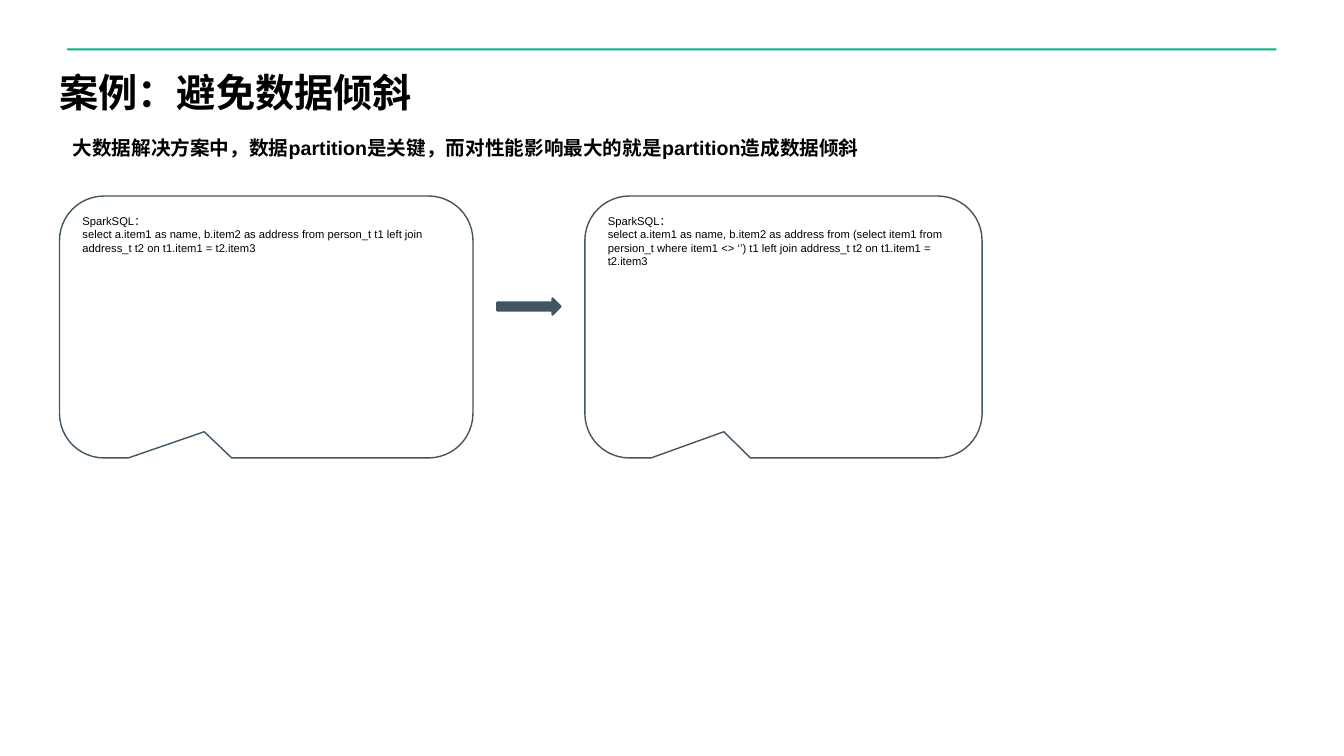
from pptx import Presentation
from pptx.dml.color import RGBColor
from pptx.enum.lang import MSO_LANGUAGE_ID as LANG
from pptx.enum.shapes import MSO_SHAPE as SHAPE
from pptx.enum.text import MSO_ANCHOR as ANCHOR, MSO_AUTO_SIZE as FIT, PP_ALIGN as ALIGN
from pptx.util import Cm, Pt

GREEN, SLATE, WHITE, BLACK = "00B388", "425563", "FFFFFF", "000000"


def rgb(value):
    return RGBColor.from_string(value)


class Deck:
    font = "Arial"

    def __init__(self, prs):
        self.slide = prs.slides.add_slide(prs.slide_layouts[5])

    def add_text(self, tf, lines, size, bold, anchor):
        tf.word_wrap = True
        tf.auto_size = FIT.NONE
        tf.vertical_anchor = anchor
        for i, line in enumerate(lines):
            p = tf.add_paragraph() if i else tf.paragraphs[0]
            p.alignment = ALIGN.LEFT
            r = p.add_run()
            r.text = line
            r.font.name = self.font
            r.font.size = Pt(size)
            r.font.bold = bold
            r.font.color.rgb = rgb(BLACK)
            r.font.language_id = LANG.SIMPLIFIED_CHINESE

    def title(self, text, left, top, width, height):
        sp = self.slide.shapes.title
        sp.left, sp.top, sp.width, sp.height = map(Cm, (left, top, width, height))
        tf = sp.text_frame
        tf.margin_left = tf.margin_top = tf.margin_right = tf.margin_bottom = 0
        self.add_text(tf, [text], 28, True, ANCHOR.BOTTOM)
        tf.paragraphs[0].line_spacing = 0.9

    def shape(self, kind, left, top, width, height, fill, line=None, weight=1):
        sp = self.slide.shapes.add_shape(kind, *map(Cm, (left, top, width, height)))
        sp.shadow.inherit = False
        sp.fill.solid()
        sp.fill.fore_color.rgb = rgb(fill)
        if line:
            sp.line.color.rgb = rgb(line)
            sp.line.width = Pt(weight)
        else:
            sp.line.fill.background()
        return sp

    def callout(self, lines, left, top, width, height, size,
                line=None, bold=False, anchor=ANCHOR.TOP):
        sp = self.shape(SHAPE.ROUNDED_RECTANGULAR_CALLOUT,
                        left, top, width, height, WHITE, line)
        for i, value in enumerate((-0.15, 0.4, 0.17)):
            sp.adjustments[i] = value
        self.add_text(sp.text_frame, lines, size, bold, anchor)


prs = Presentation()
prs.slide_width, prs.slide_height = Cm(33.87), Cm(19.05)
s = Deck(prs)

LEFT = 1.5
s.shape(SHAPE.RECTANGLE, 1.69, 1.22, 30.48, 0.05, GREEN)
s.title("案例：避免数据倾斜", LEFT, 1.73, 12.14, 1.19)
s.callout(["大数据解决方案中，数据partition是关键，而对性能影响最大的就是partition造成数据倾斜"],
          LEFT, 2.93, 24.59, 1.6, 14, bold=True, anchor=ANCHOR.MIDDLE)

queries = [
    (LEFT, 10.42, "select a.item1 as name, b.item2 as address from person_t t1 "
                  "left join address_t t2 on t1.item1 = t2.item3"),
    (14.74, 10.01, "select a.item1 as name, b.item2 as address from "
                   "(select item1 from persion_t where item1 <> ‘’) t1 "
                   "left join address_t t2 on t1.item1 = t2.item3"),
]
for left, width, query in queries:
    s.callout(["SparkSQL：", query], left, 4.94, width, 6.6, 8, line=SLATE)

s.shape(SHAPE.RIGHT_ARROW, 12.53, 7.52, 1.6, 0.41, SLATE, SLATE, 1.5)

prs.save("out.pptx")
